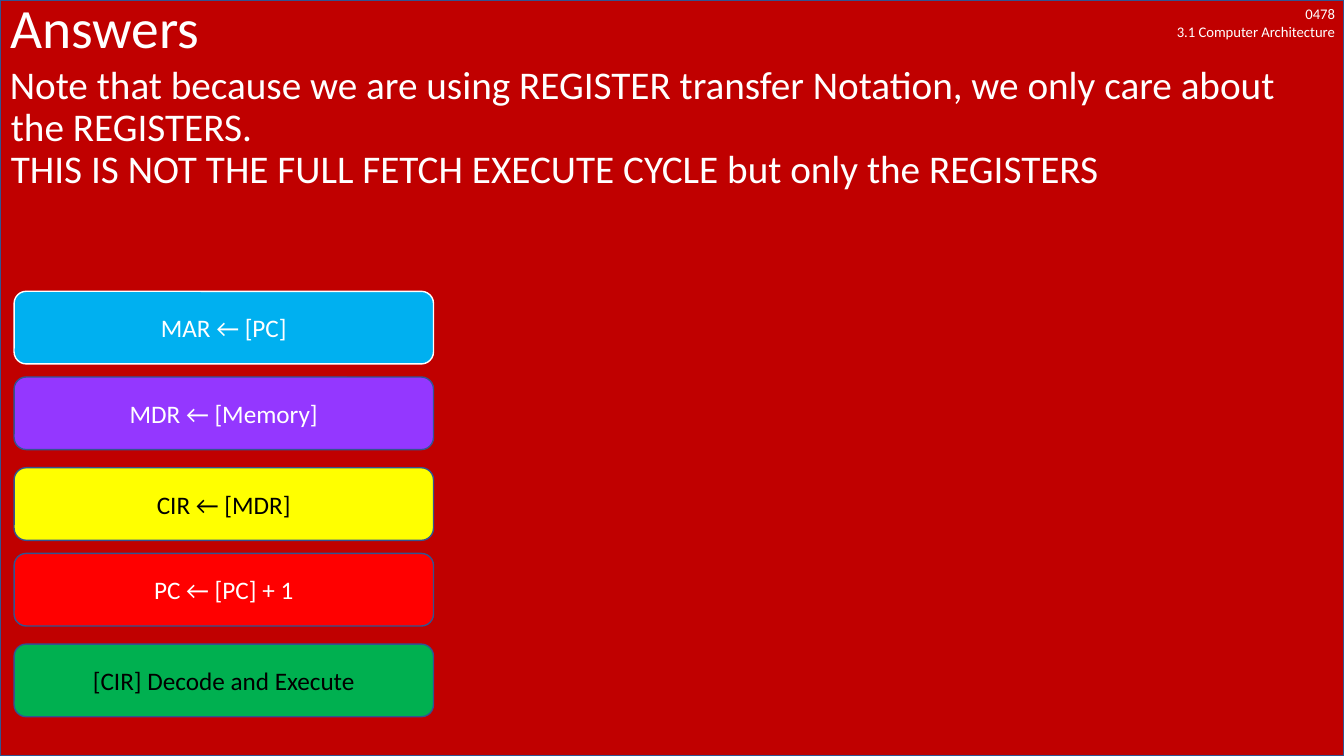
from pptx import Presentation
from pptx.dml.color import RGBColor
from pptx.enum.shapes import MSO_SHAPE as Shape
from pptx.enum.text import MSO_ANCHOR as Anchor, MSO_AUTO_SIZE as AutoSize, PP_ALIGN as Align
from pptx.util import Inches, Pt

WHITE, BLACK, RED, NAVY = "FFFFFF", "000000", "C00000", "325491"
STEPS = [
    ("MAR ← [PC]", "00B0F0", WHITE, WHITE),
    ("MDR ← [Memory]", "9437FF", NAVY, WHITE),
    ("CIR ← [MDR]", "FFFF00", NAVY, BLACK),
    ("PC ← [PC] + 1", "FF0000", NAVY, WHITE),
    ("[CIR] Decode and Execute", "00B050", NAVY, BLACK),
]
FIRST_TOP, STEP_PITCH, PAIR_PITCH = 2.89, 0.85, 1.75


def set_color(color_format, color):
    color_format.rgb = RGBColor.from_string(color)


def set_values(target, values):
    for name, value in values.items():
        setattr(target, name, value)


def write_text(shape, text, size, color=WHITE, anchor=Anchor.TOP, **paragraph_format):
    frame = shape.text_frame
    set_values(frame, {"word_wrap": True, "auto_size": AutoSize.NONE, "vertical_anchor": anchor})
    paragraph = frame.paragraphs[0]
    paragraph.text = text
    set_values(paragraph, {"alignment": Align.LEFT, **paragraph_format})
    for run in paragraph.runs:
        set_values(run.font, {"name": "Calibri", "size": Pt(size)})
        set_color(run.font.color, color)
    return paragraph


def add_text(slide, box, text, size, **text_format):
    shape = slide.shapes.add_textbox(*map(Inches, box))
    return write_text(shape, text, size, **text_format)


def add_box(slide, kind, box, fill, line):
    shape = slide.shapes.add_shape(kind, *map(Inches, box))
    shape.shadow.inherit = False
    shape.fill.solid()
    set_color(shape.fill.fore_color, fill)
    set_color(shape.line.color, line)
    shape.line.width = Pt(1)
    return shape


def add_title(slide, text):
    title = slide.shapes.title
    set_values(title, {"left": 0, "top": 0, "width": Inches(13.33), "height": Inches(0.6)})
    write_text(title, text, 39.6, anchor=Anchor.MIDDLE, line_spacing=0.9)


def add_backdrop(slide):
    backdrop = add_box(slide, Shape.RECTANGLE, (0, 0, 13.33, 7.5), RED, NAVY)
    slide.shapes.title.element.addprevious(backdrop.element)


def add_step(slide, index, text, fill, line, color):
    pair, position = divmod(index, 2)
    top = FIRST_TOP + pair * PAIR_PITCH + position * STEP_PITCH
    shape = add_box(slide, Shape.ROUNDED_RECTANGLE, (0.14, top, 4.16, 0.72), fill, line)
    write_text(shape, text, 18, color, Anchor.MIDDLE, alignment=Align.CENTER)


def main():
    presentation = Presentation()
    set_values(presentation, {"slide_width": Inches(13.33), "slide_height": Inches(7.5)})
    slide = presentation.slides.add_slide(presentation.slide_layouts[5])
    add_backdrop(slide)
    add_title(slide, "Answers")
    add_text(slide, (11.24, 0, 2.1, 0.45), "0478\n3.1 Computer Architecture", 10.5,
             alignment=Align.RIGHT)
    note = add_text(
        slide, (0, 0.6, 13.33, 2),
        "Note that because we are using REGISTER transfer Notation, we only care about "
        "the REGISTERS. \nTHIS IS NOT THE FULL FETCH EXECUTE CYCLE but only the REGISTERS",
        28, line_spacing=0.9)
    properties = note._p.get_or_add_pPr()
    properties.set("marL", str(Inches(0.01)))
    properties.set("indent", str(Inches(-0.01)))
    for index, step in enumerate(STEPS):
        add_step(slide, index, *step)
    presentation.save("out.pptx")


if __name__ == "__main__":
    main()
